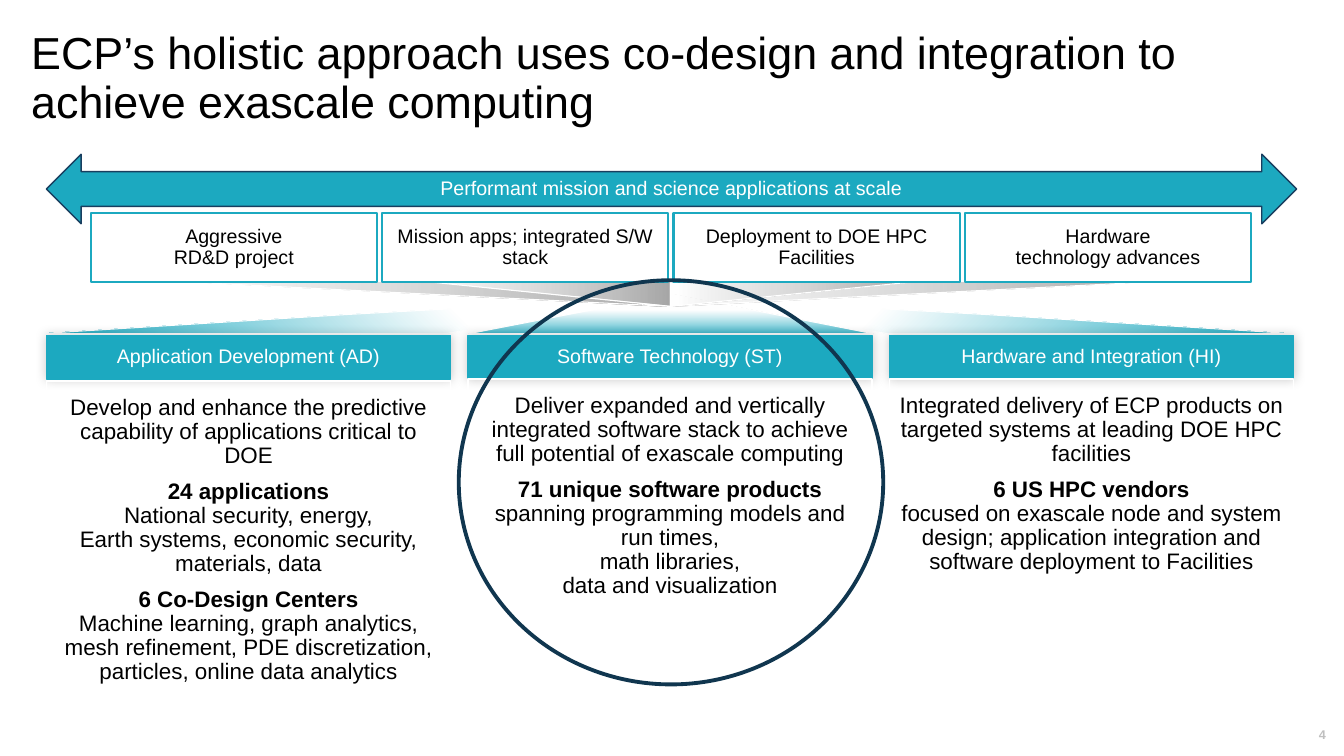
from lxml import etree
from pptx import Presentation
from pptx.dml.color import RGBColor
from pptx.enum.shapes import MSO_SHAPE
from pptx.enum.text import MSO_ANCHOR, MSO_AUTO_SIZE, PP_ALIGN
from pptx.oxml.ns import qn
from pptx.util import Inches, Pt

RECT, ARROW, OVAL = MSO_SHAPE.RECTANGLE, MSO_SHAPE.LEFT_RIGHT_ARROW, MSO_SHAPE.OVAL
TOP, MIDDLE = MSO_ANCHOR.TOP, MSO_ANCHOR.MIDDLE
LEFT, CENTER = PP_ALIGN.LEFT, PP_ALIGN.CENTER
FONT = "Arial"
TEAL, NAVY, EDGE = "1CA9C0", "10364F", "193E5F"
WHITE, BLACK, SILVER = "FFFFFF", "000000", "BFBFBF"

# Gradient stops: position %, colour, opacity %
TEAL_FADE = [(0, WHITE, 100), (35, WHITE, 100), (100, TEAL, 100)]
CENTER_FADE = [(0, WHITE, 100), (40, WHITE, 67), (100, TEAL, 83)]
GREY_FADE = [(0, "A6A6A6", 100), (73, "D9D9D9", 57), (97, WHITE, 67)]


def rgb(color):
    return RGBColor.from_string(color)


def add_color(parent, color, opacity):
    clr = etree.SubElement(parent, qn("a:srgbClr"), val=color)
    etree.SubElement(clr, qn("a:alpha"), val=str(opacity * 1000))


class SlideBuilder:
    """Holds the slide and the shared text style."""

    def __init__(self, slide):
        self.slide = slide
        self.shapes = slide.shapes

    def set_text(self, tf, paragraphs, size, color, insets, anchor=MIDDLE,
                 align=CENTER, bold=False):
        """Each paragraph is a string or a (bold lead, text) pair."""
        tf.word_wrap = True
        tf.auto_size = MSO_AUTO_SIZE.NONE
        tf.vertical_anchor = anchor
        (tf.margin_left, tf.margin_top,
         tf.margin_right, tf.margin_bottom) = map(Inches, insets)
        for i, item in enumerate(paragraphs):
            p = tf.add_paragraph() if i else tf.paragraphs[0]
            p.alignment, p.line_spacing = align, 0.9
            p.space_before = Pt(8 if i else 0)
            p.font.name, p.font.size = FONT, Pt(size)
            p.font.color.rgb = rgb(color)
            p.font.bold = bold
            parts = [item] if isinstance(item, str) else item
            for k, part in enumerate(parts):
                for n, line in enumerate(part.split("\n")):
                    if n:
                        p.add_line_break()
                    if line:
                        r = p.add_run()
                        r.text = line
                        if len(parts) > 1 and k == 0:
                            r.font.bold = True

    def title(self, text, box):
        sp = self.shapes.title
        sp.left, sp.top, sp.width, sp.height = map(Inches, box)
        self.set_text(sp.text_frame, [text], 32, BLACK,
                      (0.1, 0.05, 0.1, 0.05), TOP, LEFT)

    def label(self, text, box):
        sp = self.shapes.add_textbox(*map(Inches, box))
        self.set_text(sp.text_frame, [text], 9, SILVER, (0, 0, 0, 0), bold=True)

    def shape(self, kind, box, fill, line, width):
        sp = self.shapes.add_shape(kind, *map(Inches, box))
        sp.shadow.inherit = False
        if fill:
            sp.fill.solid()
            sp.fill.fore_color.rgb = rgb(fill)
        else:
            sp.fill.background()
        sp.line.color.rgb = rgb(line)
        sp.line.width = Pt(width)
        return sp

    def glow(self, sp):
        """Soft shadow spreading evenly around the shape."""
        effects = sp._element.spPr.find(qn("a:effectLst"))
        shadow = etree.SubElement(effects, qn("a:outerShdw"),
                                  blurRad=str(Pt(8)), dist="0", dir="0")
        add_color(shadow, BLACK, 20)

    def wedge(self, points, stops, angle):
        """Gradient polygon; angle is counter-clockwise from left-to-right."""
        points = [(Inches(x), Inches(y)) for x, y in points]
        builder = self.shapes.build_freeform(*points[0])
        builder.add_line_segments(points[1:], close=True)
        sp = builder.convert_to_shape()
        sp.shadow.inherit = False
        sp.fill.gradient()
        sp.fill.gradient_angle = angle
        stop_list = sp._element.spPr.find(qn("a:gradFill")).find(qn("a:gsLst"))
        for old in list(stop_list):
            stop_list.remove(old)
        for pos, color, opacity in stops:
            stop = etree.SubElement(stop_list, qn("a:gs"), pos=str(pos * 1000))
            add_color(stop, color, opacity)
        sp.line.color.rgb = rgb(WHITE)
        sp.line.width = Pt(0.75)


GOALS = ["Aggressive\nRD&D project", "Mission apps; integrated S/W stack",
         "Deployment to DOE HPC Facilities", "Hardware\ntechnology advances"]

# Heading, body top, body height, paragraphs
FOCUS_AREAS = [
    ("Application Development (AD)", 3.78, 3.05, [
        "Develop and enhance the predictive capability of applications "
        "critical to DOE",
        ("24 applications\n", "National security, energy,\nEarth systems, "
         "economic security, materials, data"),
        ("6 Co-Design Centers\n", "Machine learning, graph analytics, mesh "
         "refinement, PDE discretization, particles, online data analytics")]),
    ("Software Technology (ST)", 3.76, 2.61, [
        "Deliver expanded and vertically integrated software stack to achieve "
        "full potential of exascale computing",
        ("71 unique software products ", "spanning programming models and run "
         "times,\nmath libraries,\ndata and visualization")]),
    ("Hardware and Integration (HI)", 3.76, 2.61, [
        "Integrated delivery of ECP products on targeted systems at leading "
        "DOE HPC facilities",
        ("6 US HPC vendors\n", "focused on exascale node and system design; "
         "application integration and software deployment to Facilities")]),
]


def main():
    prs = Presentation()
    prs.slide_width, prs.slide_height = Inches(13.33), Inches(7.5)
    s = SlideBuilder(prs.slides.add_slide(prs.slide_layouts[5]))

    # Title and page number
    s.title("ECP’s holistic approach uses co-design and integration to "
            "achieve exascale computing", (0.21, 0.26, 12.75, 0.99))
    s.label("4", (12.96, 7.21, 0.31, 0.17))

    # Teal wedges fanning down to the focus areas
    s.wedge([(6.5, 2.94), (8.8, 3.31), (12.82, 3.31), (9.77, 3.12)],
            TEAL_FADE, 315)
    s.wedge([(6.67, 2.92), (8.66, 3.31), (4.65, 3.31)], CENTER_FADE, 270)
    s.wedge([(6.72, 2.94), (4.42, 3.31), (0.4, 3.31), (3.45, 3.12)],
            TEAL_FADE, 225)

    # Focus areas
    for i, (heading, top, height, paragraphs) in enumerate(FOCUS_AREAS):
        left = 0.46 + 4.18 * i
        sp = s.shape(RECT, (left, 3.33, 4.01, 0.43), TEAL, TEAL, 1)
        s.glow(sp)
        s.set_text(sp.text_frame, [heading], 14, WHITE, (0.05,) * 4)
        sp = s.shape(RECT, (left, top, 4.01, height), None, WHITE, 1)
        s.set_text(sp.text_frame, paragraphs, 16, BLACK,
                   (0.1, 0.15, 0.1, 0.05), TOP)

    # Grey wedges converging below the goals
    for tip, start, end in [(6.6, 9.07, 11.55), (6.65, 4.18, 6.65),
                            (6.65, 6.65, 9.12), (6.66, 1.71, 4.19)]:
        s.wedge([(tip, 3.04), (start, 2.79), (end, 2.79)], GREY_FADE, 180)

    # Arrow and goals
    insets = (0.05, 0.04, 0.05, 0.04)
    sp = s.shape(ARROW, (0.46, 1.53, 12.4, 0.69), TEAL, EDGE, 1)
    s.set_text(sp.text_frame,
               ["Performant mission and science applications at scale"],
               14, WHITE, insets)
    for i, goal in enumerate(GOALS):
        sp = s.shape(RECT, (0.9 + 2.89 * i, 2.11, 2.84, 0.69), WHITE, TEAL, 1.5)
        s.set_text(sp.text_frame, [goal], 14, BLACK, insets)

    # Highlight ring
    s.shape(OVAL, (4.55, 2.78, 4.21, 4.01), None, NAVY, 2.75)

    prs.save("out.pptx")


if __name__ == "__main__":
    main()
